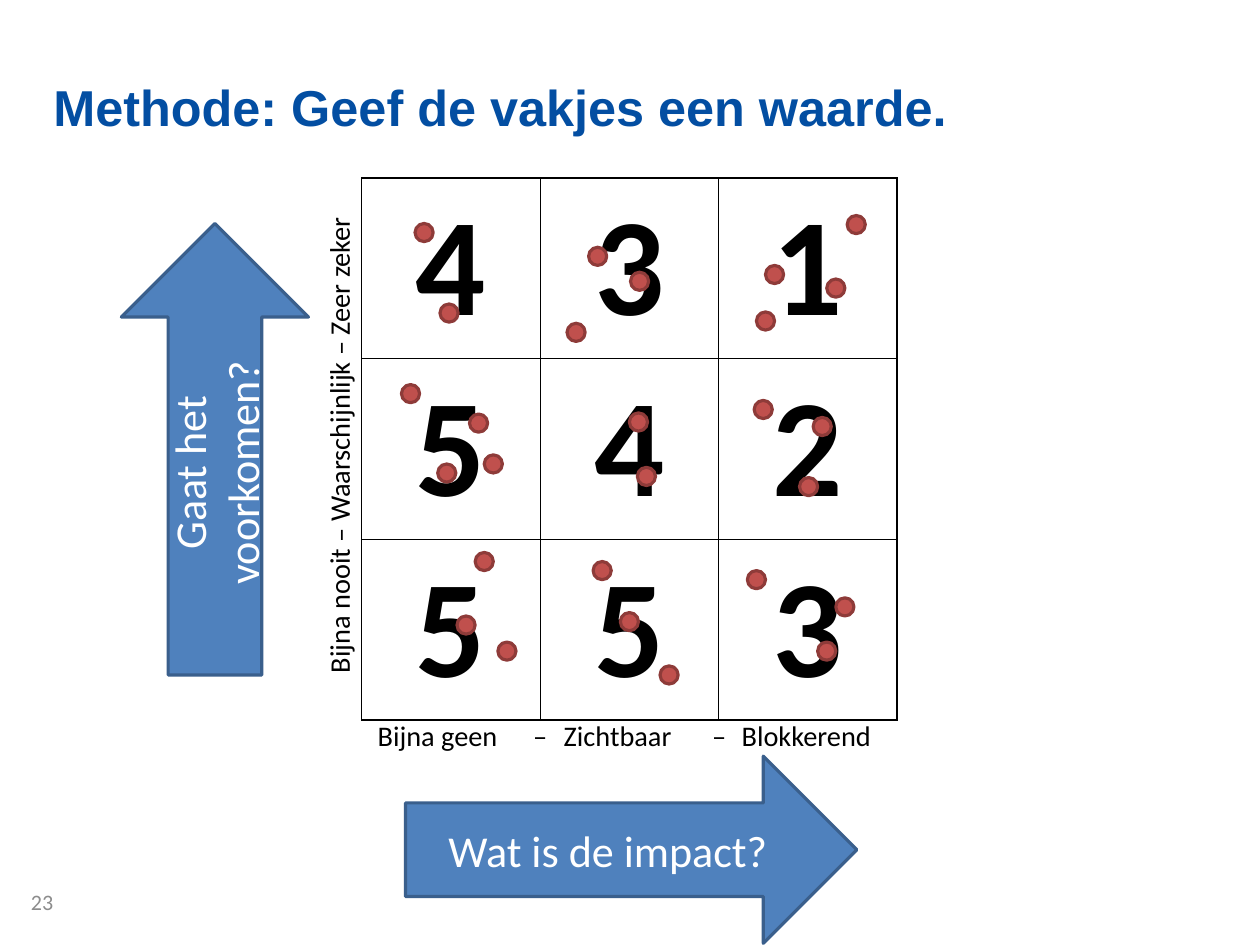
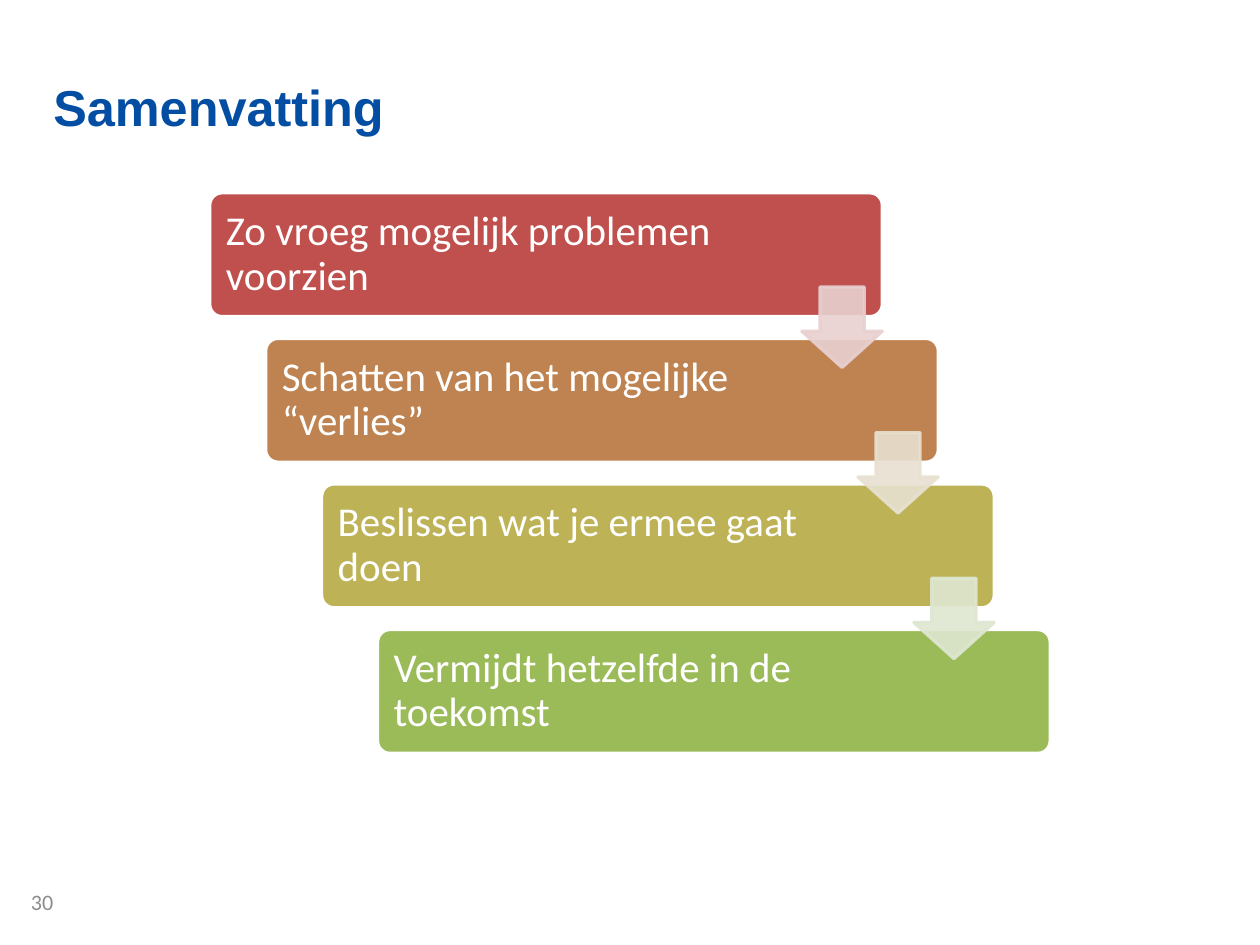
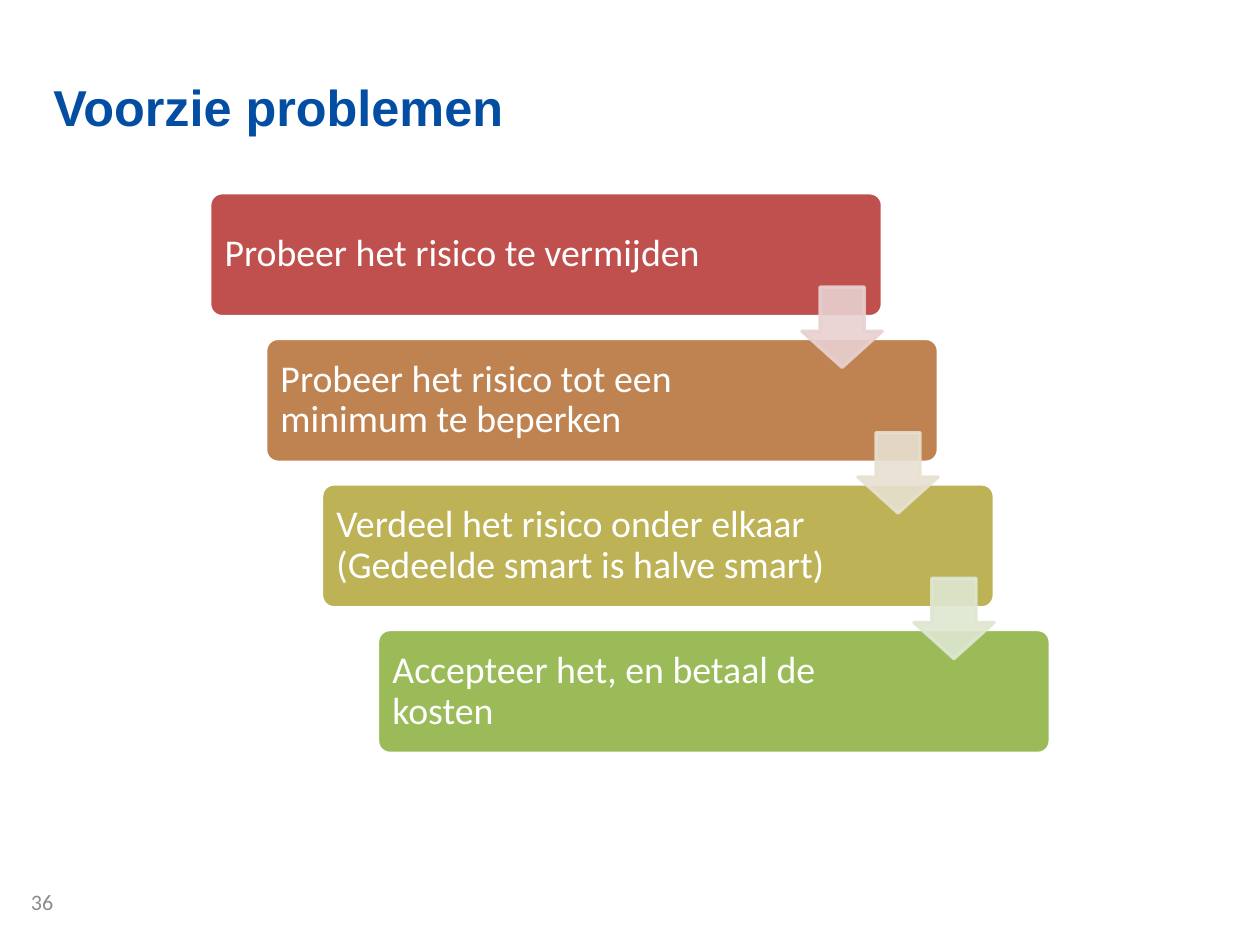
from pptx import Presentation
from pptx.dml.color import RGBColor
from pptx.enum.shapes import MSO_SHAPE
from pptx.enum.text import MSO_ANCHOR, MSO_AUTO_SIZE, PP_ALIGN
from pptx.oxml.ns import qn
from pptx.util import Inches, Pt
from lxml import etree

UP_ARROW, DOWN_ARROW = MSO_SHAPE.UP_ARROW, MSO_SHAPE.DOWN_ARROW
ROUNDED, OVAL = MSO_SHAPE.ROUNDED_RECTANGLE, MSO_SHAPE.OVAL
LEFT, CENTER, RIGHT = PP_ALIGN.LEFT, PP_ALIGN.CENTER, PP_ALIGN.RIGHT
TOP, MIDDLE = MSO_ANCHOR.TOP, MSO_ANCHOR.MIDDLE
NO_AUTO_SIZE = MSO_AUTO_SIZE.NONE

BLACK, WHITE, GRAY = "000000", "FFFFFF", "8C8C8C"
TITLE_BLUE, BLUE, DARK_BLUE = "034EA2", "4F81BD", "3A5F8C"
RED, DARK_RED = "C0504D", "8E3B39"
STEP_COLORS = [RED, "BE8351", "BDB255", "9BBB59"]
STEP_ARROW_COLORS = ["E8D0D0", "E8E1D1", "DEE7D1"]

SCORES = ["431", "542", "553"]
VOTES = [
    (3.66, 1.97), (5.56, 2.4), (5.23, 4.95), (5.82, 5.87), (3.88, 2.68),
    (4.27, 4.01), (4.39, 5.66), (5.19, 2.18), (4.14, 3.65), (3.86, 4.09),
    (7.17, 3.68), (5.62, 4.12), (7.37, 5.27), (4.03, 5.43), (6.59, 5.03),
    (6.75, 2.34), (6.65, 3.53), (6.67, 2.75), (7.47, 1.9), (7.05, 4.21),
    (5.55, 3.64), (7.21, 5.66), (5.47, 5.4), (7.29, 2.46), (4.19, 4.87),
    (5, 2.85), (3.54, 3.39),
]
SUMMARY_STEPS = [
    "Zo vroeg mogelijk problemen voorzien",
    "Schatten van het mogelijke “verlies”",
    "Beslissen wat je ermee gaat doen",
    "Vermijdt hetzelfde in de toekomst",
]
RISK_STEPS = [
    "Probeer het risico te vermijden",
    "Probeer het risico tot een minimum te beperken",
    "Verdeel het risico onder elkaar (Gedeelde smart is halve smart)",
    "Accepteer het, en betaal de kosten",
]


def rgb(color):
    return RGBColor.from_string(color)


def box(left, top, width, height):
    return [Inches(value) for value in (left, top, width, height)]


def set_values(target, values):
    for name, value in values.items():
        setattr(target, name, value)


class Deck:
    def __init__(self):
        self.presentation = Presentation()
        set_values(self.presentation,
                   {"slide_width": Inches(11.11), "slide_height": Inches(8.33)})
        self.slide = None

    def add_slide(self, title, number):
        layout = self.presentation.slide_layouts.get_by_name("Title Only")
        self.slide = self.presentation.slides.add_slide(layout)
        shape = self.slide.shapes.title
        set_values(shape, dict(zip(("left", "top", "width", "height"),
                                   box(0.47, 0.62, 10.17, 0.79))))
        self.fill_text(shape.text_frame, title, 32, TITLE_BLUE, font="Arial",
                       bold=True, insets=(0, 0.05, 0, 0))
        self.text(-0.11, 7.83, 0.58, 0.2, str(number), 14, GRAY, align=RIGHT)

    def style_paragraph(self, paragraph, size, color, align=LEFT,
                        font="Calibri", bold=False):
        paragraph.alignment = align
        set_values(paragraph.font, {"name": font, "size": Pt(size), "bold": bold})
        paragraph.font.color.rgb = rgb(color)

    def fill_text(self, frame, text, size, color, align=LEFT, font="Calibri",
                  bold=False, anchor=TOP, insets=(0, 0, 0, 0)):
        left, top, right, bottom = [Inches(value) for value in insets]
        set_values(frame, {
            "text": text, "word_wrap": True, "auto_size": NO_AUTO_SIZE,
            "vertical_anchor": anchor, "margin_left": left, "margin_top": top,
            "margin_right": right, "margin_bottom": bottom})
        self.style_paragraph(frame.paragraphs[0], size, color, align, font, bold)

    def text(self, left, top, width, height, text, size, color,
             align=LEFT, rotation=0, tabs=()):
        shape = self.slide.shapes.add_textbox(*box(left, top, width, height))
        shape.rotation = rotation
        self.fill_text(shape.text_frame, text, size, color, align)
        if tabs:
            properties = shape.text_frame.paragraphs[0]._p.get_or_add_pPr()
            tab_list = etree.Element(qn("a:tabLst"))
            for position in tabs:
                etree.SubElement(tab_list, qn("a:tab"),
                                 pos=str(Inches(position)), algn="l")
            # Tab stops come before the default run properties
            properties.insert(0, tab_list)

    def shape(self, kind, left, top, width, height, fill, line,
              adjustments=(), opacity=100):
        shape = self.slide.shapes.add_shape(kind, *box(left, top, width, height))
        shape.shadow.inherit = False
        for index, value in enumerate(adjustments):
            shape.adjustments[index] = value
        shape.fill.solid()
        shape.fill.fore_color.rgb = rgb(fill)
        shape.line.color.rgb = rgb(line)
        shape.line.width = Pt(2)
        if opacity < 100:
            for color in shape._element.spPr.iter(qn("a:srgbClr")):
                etree.SubElement(color, qn("a:alpha"), val=str(opacity * 1000))
        return shape

    def axis_arrow(self, left, top, text, rotation=0):
        shape = self.shape(UP_ARROW, left, top, 1.65, 3.98, BLUE, DARK_BLUE)
        shape.rotation = rotation
        self.fill_text(shape.text_frame, text, 28, WHITE, CENTER, anchor=MIDDLE,
                       insets=(0.1, 0.05, 0.1, 0.05))
        shape._element.txBody.find(qn("a:bodyPr")).set("vert", "vert270")

    def score_table(self, left, top, side, rows):
        count = len(rows)
        frame = self.slide.shapes.add_table(count, count,
                                            *box(left, top, side, side))
        table = frame.table
        set_values(table, {"first_row": False, "horz_banding": False})
        for row, scores in enumerate(rows):
            for column, score in enumerate(scores):
                cell = table.cell(row, column)
                cell.text = score
                self.style_paragraph(cell.text_frame.paragraphs[0], 88, BLACK,
                                     CENTER, bold=True)
                self.cell_borders(cell)
                cell.fill.background()

    def cell_borders(self, cell):
        properties = cell._tc.get_or_add_tcPr()
        for side in ("lnL", "lnR", "lnT", "lnB"):
            line = etree.SubElement(properties, qn("a:" + side), w=str(Pt(1)))
            fill = etree.SubElement(line, qn("a:solidFill"))
            etree.SubElement(fill, qn("a:srgbClr"), val=BLACK)

    def staircase(self, steps, size, inset):
        # Each step moves right and down by an equal share of the whole run
        places = [(1.85 + index * 1.48 / 3, 1.7 + index * 3.85 / 3)
                  for index in range(len(steps))]
        for (left, top), text, color in zip(places, steps, STEP_COLORS):
            shape = self.shape(ROUNDED, left, top, 5.93, 1.09, color, WHITE, [0.1])
            self.fill_text(shape.text_frame, text, size, WHITE, anchor=MIDDLE,
                           insets=(inset, inset, 1.21 + inset, inset))
            shape.text_frame.paragraphs[0].line_spacing = 0.9
        for (left, top), color in zip(places, STEP_ARROW_COLORS):
            self.shape(DOWN_ARROW, left + 5.22, top + 0.83, 0.71, 0.71,
                       color, color, [0.55, 0.45], opacity=90)


def main():
    deck = Deck()

    # Risk matrix with votes
    deck.add_slide("Methode: Geef de vakjes een waarde.", 23)
    deck.score_table(3.19, 1.57, 4.72, SCORES)
    deck.axis_arrow(1.07, 1.97, "Gaat het voorkomen?")
    deck.axis_arrow(4.74, 5.5, "Wat is de impact?", rotation=90)
    for left, top in VOTES:
        deck.shape(OVAL, left, top, 0.16, 0.16, RED, DARK_RED)
    deck.text(0.92, 3.72, 4.13, 0.3, "Bijna nooit – Waarschijnlijk – Zeer zeker",
              18, BLACK, rotation=270)
    deck.text(3.33, 6.33, 4.59, 0.3, "Bijna geen\t–\tZichtbaar\t–\tBlokkerend",
              18, BLACK, tabs=(1.37, 1.64, 2.95, 3.21))

    # Step diagrams
    deck.add_slide("Samenvatting", 30)
    deck.staircase(SUMMARY_STEPS, 26, 0.11)
    deck.add_slide("Voorzie problemen", 36)
    deck.staircase(RISK_STEPS, 24, 0.1)

    deck.presentation.save("out.pptx")


if __name__ == "__main__":
    main()
